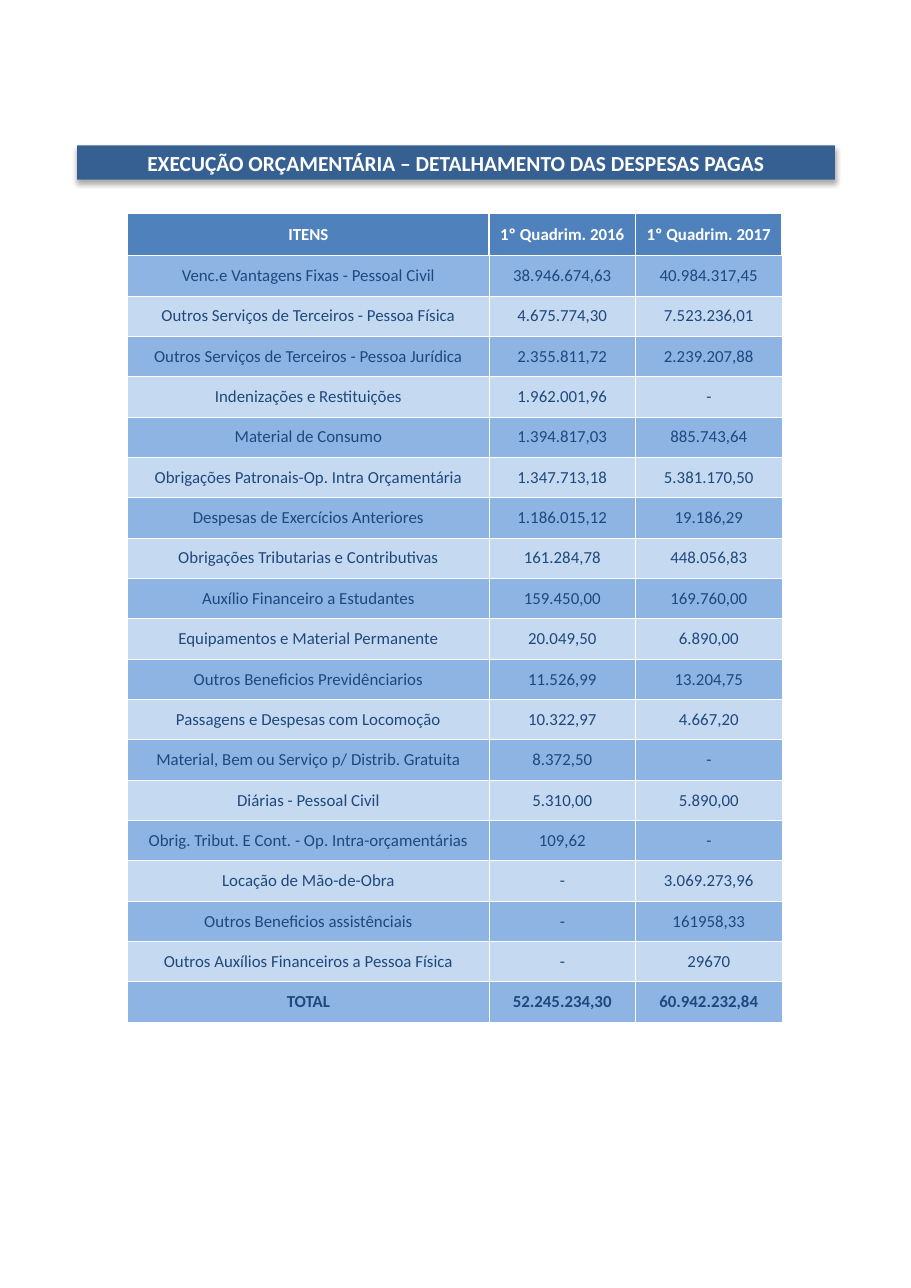
import pptx
import pptx.dml.color
import pptx.enum.text
import pptx.oxml
import pptx.oxml.ns
import pptx.util

PAGE_WIDTH, PAGE_HEIGHT = 8.27, 11.69
FONT = "Calibri"
WHITE, NAVY, BANNER = "FFFFFF", "1F497D", "376092"
HEADER_FILL, BAND_FILLS = "4F81BD", ("8DB4E3", "C5D9F1")
TABLE_LEFT, TABLE_TOP, TABLE_HEIGHT = 1.16, 1.94, 7.34
HEADER_HEIGHT = 0.38
COLUMN_WIDTHS = (3.28, 1.33, 1.33)

TITLE = "EXECUÇÃO ORÇAMENTÁRIA – DETALHAMENTO DAS DESPESAS PAGAS"
EXPENSES = [
    ("ITENS", "1º Quadrim. 2016", "1º Quadrim. 2017"),
    ("Venc.e Vantagens Fixas - Pessoal Civil", "38.946.674,63", "40.984.317,45"),
    ("Outros Serviços de Terceiros - Pessoa Física", "4.675.774,30", "7.523.236,01"),
    ("Outros Serviços de Terceiros - Pessoa Jurídica", "2.355.811,72", "2.239.207,88"),
    ("Indenizações e Restituições", "1.962.001,96", "-"),
    ("Material de Consumo", "1.394.817,03", "885.743,64"),
    ("Obrigações Patronais-Op. Intra Orçamentária", "1.347.713,18", "5.381.170,50"),
    ("Despesas de Exercícios Anteriores", "1.186.015,12", "19.186,29"),
    ("Obrigações Tributarias e Contributivas", "161.284,78", "448.056,83"),
    ("Auxílio Financeiro a Estudantes", "159.450,00", "169.760,00"),
    ("Equipamentos e Material Permanente", "20.049,50", "6.890,00"),
    ("Outros Beneficios Previdênciarios", "11.526,99", "13.204,75"),
    ("Passagens e Despesas com Locomoção", "10.322,97", "4.667,20"),
    ("Material, Bem ou Serviço p/ Distrib. Gratuita", "8.372,50", "-"),
    ("Diárias - Pessoal Civil", "5.310,00", "5.890,00"),
    ("Obrig. Tribut. E Cont. - Op. Intra-orçamentárias", "109,62", "-"),
    ("Locação de Mão-de-Obra", "-", "3.069.273,96"),
    ("Outros Beneficios assistênciais", "-", "161958,33"),
    ("Outros Auxílios Financeiros a Pessoa Física", "-", "29670"),
    ("TOTAL", "52.245.234,30", "60.942.232,84"),
]


def color(hex_code):
    """Turn a hex string into a colour."""
    return pptx.dml.color.RGBColor.from_string(hex_code)


def paint(target, hex_code):
    """Give a shape or cell a solid fill."""
    target.fill.solid()
    target.fill.fore_color.rgb = color(hex_code)


def write(frame, text, size, hex_code, bold):
    """Write one centred paragraph."""
    frame.text = text
    para = frame.paragraphs[0]
    para.alignment = pptx.enum.text.PP_ALIGN.CENTER
    para.font.name = FONT
    para.font.size = pptx.util.Pt(size)
    para.font.bold = bold
    para.font.color.rgb = color(hex_code)


def add_shadow(shape):
    """Cast a soft shadow straight below a shape."""
    blur, distance = pptx.util.Pt(3.5), pptx.util.Pt(2.2)
    shape._element.spPr.append(pptx.oxml.parse_xml(
        f'<a:effectLst {pptx.oxml.ns.nsdecls("a")}>'
        f'<a:outerShdw blurRad="{blur}" dist="{distance}" dir="5400000" rotWithShape="0">'
        '<a:srgbClr val="000000"><a:alpha val="32000"/></a:srgbClr>'
        '</a:outerShdw></a:effectLst>'))


def add_banner(page):
    """Format the title placeholder as a shaded banner."""
    box = page.shapes.title
    box.left, box.top = pptx.util.Inches(0.7), pptx.util.Inches(1.32)
    box.width, box.height = pptx.util.Inches(6.88), pptx.util.Inches(0.31)
    paint(box, BANNER)
    box.line.fill.background()
    add_shadow(box)
    frame = box.text_frame
    frame.auto_size = pptx.enum.text.MSO_AUTO_SIZE.NONE
    frame.vertical_anchor = pptx.enum.text.MSO_ANCHOR.MIDDLE
    frame.word_wrap = True
    write(frame, TITLE, 14, WHITE, True)


def set_borders(cell, widths):
    """Draw white cell borders with a width in points for each side."""
    properties = cell._tc.get_or_add_tcPr()
    for side, width in widths.items():
        properties.append(pptx.oxml.parse_xml(
            f'<a:ln{side} {pptx.oxml.ns.nsdecls("a")} w="{pptx.util.Pt(width)}">'
            f'<a:solidFill><a:srgbClr val="{WHITE}"/></a:solidFill></a:ln{side}>'))


def format_cell(cell, text, row):
    """Fill in one cell according to its row."""
    header = row == 0
    width = 1 if header else 0.5
    set_borders(cell, {"L": width, "R": width, "T": 1 if row <= 1 else 0.5, "B": width})
    paint(cell, HEADER_FILL if header else BAND_FILLS[(row - 1) % 2])
    cell.margin_left = cell.margin_right = cell.margin_top = cell.margin_bottom = 0
    cell.vertical_anchor = pptx.enum.text.MSO_ANCHOR.MIDDLE
    bold = row in (0, len(EXPENSES) - 1)
    write(cell.text_frame, text, 11, WHITE if header else NAVY, bold)


def add_expenses(page):
    """Build the table of expenses."""
    bounds = (TABLE_LEFT, TABLE_TOP, sum(COLUMN_WIDTHS), TABLE_HEIGHT)
    table = page.shapes.add_table(
        len(EXPENSES), len(COLUMN_WIDTHS), *map(pptx.util.Inches, bounds)).table
    table.horz_banding = False
    for column, width in zip(table.columns, COLUMN_WIDTHS):
        column.width = pptx.util.Inches(width)
    body_height = (TABLE_HEIGHT - HEADER_HEIGHT) / (len(EXPENSES) - 1)
    for row, values in enumerate(EXPENSES):
        table.rows[row].height = pptx.util.Inches(body_height if row else HEADER_HEIGHT)
        for column, text in enumerate(values):
            format_cell(table.cell(row, column), text, row)


def main():
    """Build and save the page."""
    deck = pptx.Presentation()
    deck.slide_width = pptx.util.Inches(PAGE_WIDTH)
    deck.slide_height = pptx.util.Inches(PAGE_HEIGHT)
    page = deck.slides.add_slide(deck.slide_layouts.get_by_name("Title Only"))
    add_banner(page)
    add_expenses(page)
    deck.save("out.pptx")


if __name__ == "__main__":
    main()
